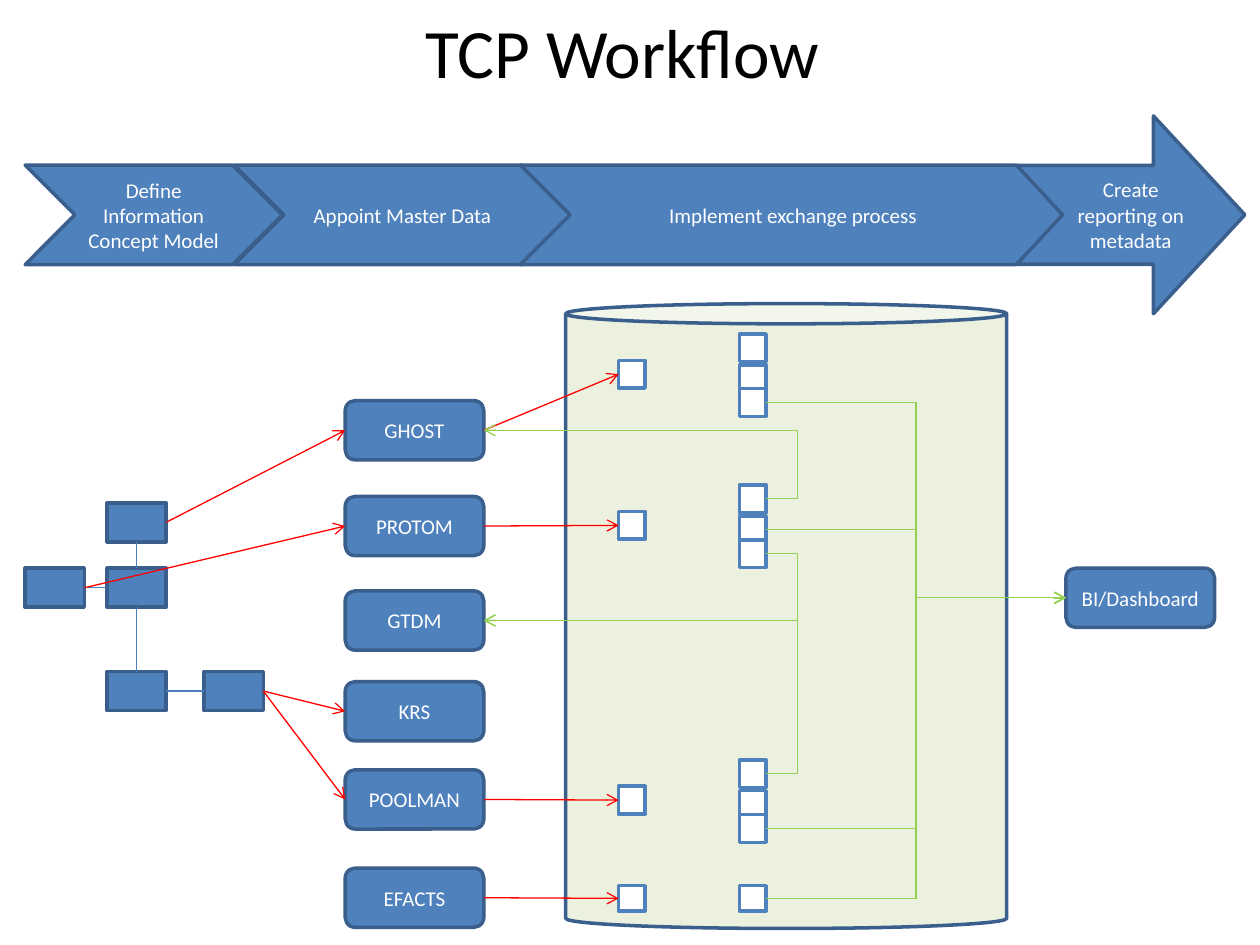
from dataclasses import dataclass

from lxml.etree import SubElement
from pptx import Presentation
from pptx.dml.color import RGBColor as Rgb
from pptx.enum.shapes import MSO_CONNECTOR as Link, MSO_SHAPE as Preset
from pptx.enum.text import MSO_ANCHOR as Anchor, PP_ALIGN as Align
from pptx.oxml.ns import qn
from pptx.util import Inches, Pt


@dataclass(frozen=True)
class Theme:
    font: str = "Calibri"
    title_size: float = 39.6
    label_size: float = 12
    outline: float = 2
    thin: float = 0.75
    black: str = "000000"
    white: str = "FFFFFF"
    blue: str = "4F81BD"
    navy: str = "3A5F8C"
    link_blue: str = "4B7EBC"
    pale_green: str = "EBF1DE"
    red: str = "FF0000"
    green: str = "92D050"


THEME = Theme()
TOP, LEFT, BOTTOM, RIGHT = range(4)

TITLE = "TCP Workflow"
STEPS = [
    ("Define Information Concept Model", 0.2, 2.04),
    ("Appoint Master Data", 1.86, 2.67),
    ("Implement exchange process", 4.13, 4.33),
]
FINAL_STEP = "Create reporting on metadata"
SYSTEMS = {"GHOST": 3.18, "PROTOM": 3.94, "GTDM": 4.69,
           "KRS": 5.41, "POOLMAN": 6.11, "EFACTS": 6.89}
DASHBOARD = "BI/Dashboard"

CONCEPTS = {"left": (0.2, 4.51), "top": (0.85, 3.99), "centre": (0.85, 4.51),
            "bottom": (0.85, 5.33), "right": (1.62, 5.33)}
CONCEPT_LINKS = [("top", BOTTOM, "centre", TOP), ("left", RIGHT, "centre", LEFT),
                 ("centre", BOTTOM, "bottom", TOP), ("bottom", RIGHT, "right", LEFT)]
CONCEPT_OWNERS = [("top", "GHOST"), ("left", "PROTOM"),
                  ("right", "POOLMAN"), ("right", "KRS")]

STORES = {"GHOST": 2.65, "PROTOM": 3.85, "POOLMAN": 6.03}
INBOX_X, RECORD_X = 4.91, 5.87
INBOX_DROP = 0.21
RECORD_DROPS = (0, 0.245, 0.435)
SINGLE_STORE, SINGLE_Y = "EFACTS", 7.03
RETURNS = [("POOLMAN", 0, "GTDM"), ("PROTOM", 2, "GTDM"), ("PROTOM", 0, "GHOST")]
REPORTS = [("GHOST", 2), ("PROTOM", 1), ("POOLMAN", 2), ("EFACTS", 0)]
RETURN_BEND, REPORT_BEND = -0.112, 0.5

deck = Presentation()
deck.slide_width, deck.slide_height = Inches(10), Inches(7.5)
slide = deck.slides.add_slide(deck.slide_layouts[6])
canvas = slide.shapes


def apply(target, values):
    for attribute, value in values.items():
        setattr(target, attribute, value)


def write(shape, text, size, color):
    frame = shape.text_frame
    apply(frame, {"word_wrap": True, "vertical_anchor": Anchor.MIDDLE})
    paragraph = frame.paragraphs[0]
    apply(paragraph, {"text": text, "alignment": Align.CENTER})
    apply(paragraph.font, {"name": THEME.font, "size": Pt(size)})
    paragraph.font.color.rgb = Rgb.from_string(color)


def draw(parent, preset, box, text="", fill=THEME.blue, line=THEME.navy, adjust=()):
    shape = parent.add_shape(preset, *map(Inches, box))
    shape.shadow.inherit = False
    shape.fill.solid()
    shape.fill.fore_color.rgb = Rgb.from_string(fill)
    shape.line.color.rgb = Rgb.from_string(line)
    shape.line.width = Pt(THEME.outline)
    for index, value in enumerate(adjust):
        shape.adjustments[index] = value
    if text:
        write(shape, text, THEME.label_size, THEME.white)
    return shape


def connect(parent, start, start_side, end, end_side, color, arrow=True, bend=None):
    kind = Link.STRAIGHT if bend is None else Link.ELBOW
    link = parent.add_connector(kind, 0, 0, 0, 0)
    link.begin_connect(start, start_side)
    link.end_connect(end, end_side)
    link.line.color.rgb = Rgb.from_string(color)
    link.line.width = Pt(THEME.thin)
    properties = link._element.spPr
    if bend is not None:
        guides = properties.find(qn("a:prstGeom")).get_or_add_avLst()
        SubElement(guides, qn("a:gd"), name="adj1", fmla=f"val {round(bend * 100000)}")
    if arrow:
        SubElement(properties.find(qn("a:ln")), qn("a:tailEnd"), type="arrow")
    SubElement(properties, qn("a:effectLst"))


draw(canvas, Preset.CAN, (4.49, 2.41, 3.5, 4.96), fill=THEME.pale_green, adjust=(0.046,))

title = canvas.add_textbox(*map(Inches, (0.44, 0.13, 9, 0.55)))
write(title, TITLE, THEME.title_size, THEME.black)

model = canvas.add_group_shape().shapes
concepts = {name: draw(model, Preset.RECTANGLE, (x, y, 0.47, 0.31))
            for name, (x, y) in CONCEPTS.items()}
for start, start_side, end, end_side in CONCEPT_LINKS:
    connect(model, concepts[start], start_side, concepts[end], end_side,
            THEME.link_blue, arrow=False)

systems = {name: draw(canvas, Preset.ROUNDED_RECTANGLE, (2.74, y, 1.1, 0.47), name)
           for name, y in SYSTEMS.items()}
dashboard = draw(canvas, Preset.ROUNDED_RECTANGLE, (8.46, 4.51, 1.18, 0.47), DASHBOARD)

layouts = {name: (y + INBOX_DROP, [y + drop for drop in RECORD_DROPS], 0.22)
           for name, y in STORES.items()}
layouts[SINGLE_STORE] = (SINGLE_Y, [SINGLE_Y], 0.2)
inboxes, records = {}, {}
for name, (inbox_y, record_ys, height) in layouts.items():
    store = canvas.add_group_shape().shapes
    cells = [draw(store, Preset.RECTANGLE, (x, y, 0.21, height),
                  fill=THEME.white, line=THEME.blue)
             for x, y in [(INBOX_X, inbox_y)] + [(RECORD_X, y) for y in record_ys]]
    inboxes[name], records[name] = cells[0], cells[1:]

for concept, system in CONCEPT_OWNERS:
    connect(canvas, concepts[concept], RIGHT, systems[system], LEFT, THEME.red)
for name, inbox in inboxes.items():
    connect(canvas, systems[name], RIGHT, inbox, LEFT, THEME.red)
for store, row, system in RETURNS:
    connect(canvas, records[store][row], RIGHT, systems[system], RIGHT,
            THEME.green, bend=RETURN_BEND)
for store, row in REPORTS:
    connect(canvas, records[store][row], RIGHT, dashboard, LEFT,
            THEME.green, bend=REPORT_BEND)

for label, x, width in STEPS:
    draw(canvas, Preset.CHEVRON, (x, 1.31, width, 0.79), label)
draw(canvas, Preset.NOTCHED_RIGHT_ARROW, (8.07, 0.92, 1.81, 1.57), FINAL_STEP,
     adjust=(0.5, 0.462))

deck.save("out.pptx")
